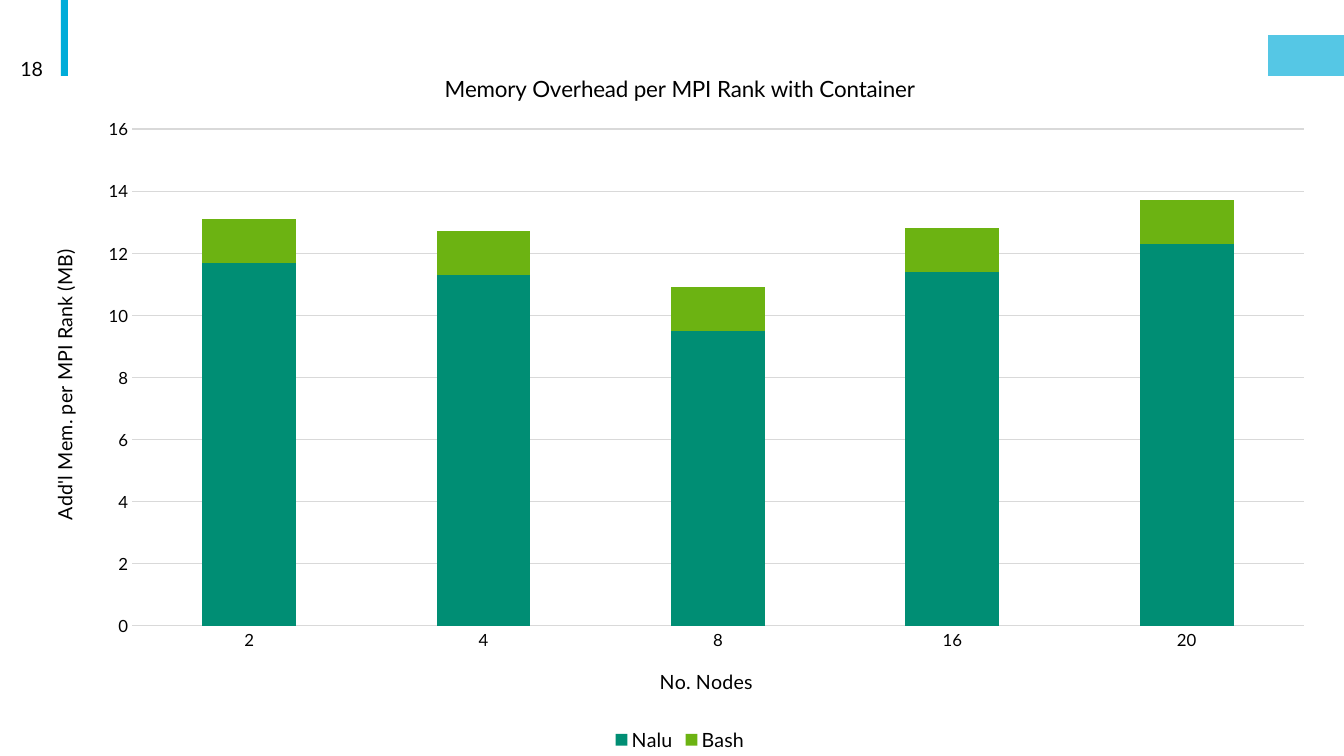
import pptx
import pptx.chart.data
import pptx.dml.color
import pptx.enum.chart
import pptx.enum.shapes
import pptx.enum.text
import pptx.oxml
import pptx.oxml.ns
import pptx.util

# Content
PAGE_NUMBER = "18"
CHART_TITLE = "Memory Overhead per MPI Rank with Container"
NODES_TITLE = "No. Nodes"
MEMORY_TITLE = "Add'l Mem. per MPI Rank (MB)"
NODES = ["2", "4", "8", "16", "20"]
SERIES = [
    ("Nalu", [11.7, 11.3, 9.5, 11.4, 12.3], "teal"),
    ("Bash", [1.4, 1.4, 1.4, 1.4, 1.4], "green"),
]

# Format
FONT = "Lato"
COLORS = {"accent": "00ACD9", "tab": "55C7E5", "text": "000000",
          "grid": "D9D9D9", "teal": "008E74", "green": "6CB312"}

# Places in px: left, top, width, height
SLIDE_SIZE = (1344, 756)
BARS = [((61, 0, 7, 76), "accent"), ((1268, 35, 76, 41), "tab")]
NUMBER_BOX = (7, 49, 46, 40)
CHART_BOX = (30, 49, 1300, 707)
PLOT_BOX = (132, 129, 1172, 497)


def px(length):
    return pptx.util.Emu(round(length * 914400 / 100.8))


def place(box):
    return [px(length) for length in box]


def color(name):
    return pptx.dml.color.RGBColor.from_string(COLORS[name])


def format_font(font, size):
    values = {"name": FONT, "size": pptx.util.Pt(size), "bold": False}
    for name, value in values.items():
        setattr(font, name, value)
    font.color.rgb = color("text")


def format_line(line):
    line.color.rgb = color("grid")
    line.width = pptx.util.Pt(0.75)


def set_title(owner, text, size):
    frame = owner.text_frame
    frame.text = text
    format_font(frame.paragraphs[0].runs[0].font, size)


def fix_plot_area(chart):
    left, top, width, height = CHART_BOX
    shares = {"x": (PLOT_BOX[0] - left) / width, "y": (PLOT_BOX[1] - top) / height,
              "w": PLOT_BOX[2] / width, "h": PLOT_BOX[3] / height}
    parts = '<c:layoutTarget val="inner"/><c:xMode val="edge"/><c:yMode val="edge"/>'
    parts += "".join(f'<c:{key} val="{share:.4f}"/>' for key, share in shares.items())
    namespace = pptx.oxml.ns.nsdecls("c")
    layout = pptx.oxml.parse_xml(
        f"<c:layout {namespace}><c:manualLayout>{parts}</c:manualLayout></c:layout>")
    plot_area = chart.element.find(".//" + pptx.oxml.ns.qn("c:plotArea"))
    for old in plot_area.findall(pptx.oxml.ns.qn("c:layout")):
        plot_area.remove(old)
    plot_area.insert(0, layout)


def add_bars(slide):
    for box, name in BARS:
        bar = slide.shapes.add_shape(pptx.enum.shapes.MSO_SHAPE.RECTANGLE, *place(box))
        bar.shadow.inherit = False
        bar.fill.solid()
        bar.fill.fore_color.rgb = color(name)
        bar.line.fill.background()


def add_page_number(slide):
    frame = slide.shapes.add_textbox(*place(NUMBER_BOX)).text_frame
    frame.word_wrap = True
    frame.vertical_anchor = pptx.enum.text.MSO_ANCHOR.MIDDLE
    paragraph = frame.paragraphs[0]
    paragraph.alignment = pptx.enum.text.PP_ALIGN.RIGHT
    run = paragraph.add_run()
    run.text = PAGE_NUMBER
    format_font(run.font, 14)


def add_memory_chart(slide):
    data = pptx.chart.data.CategoryChartData(number_format="0.0")
    data.categories = NODES
    for name, values, _ in SERIES:
        data.add_series(name, values)
    chart = slide.shapes.add_chart(
        pptx.enum.chart.XL_CHART_TYPE.COLUMN_STACKED, *place(CHART_BOX), data).chart
    format_font(chart.font, 10)
    chart.has_title = True
    set_title(chart.chart_title, CHART_TITLE, 16)
    chart.chart_title.include_in_layout = False

    # Columns
    plot = chart.plots[0]
    plot.gap_width, plot.overlap, plot.vary_by_categories = 150, 100, False
    for series, (_, _, name) in zip(plot.series, SERIES):
        series.format.fill.solid()
        series.format.fill.fore_color.rgb = color(name)

    # Axes
    nodes, memory = chart.category_axis, chart.value_axis
    for axis, title in ((nodes, NODES_TITLE), (memory, MEMORY_TITLE)):
        set_title(axis.axis_title, title, 14)
        axis.major_tick_mark = pptx.enum.chart.XL_TICK_MARK.NONE
        axis.minor_tick_mark = pptx.enum.chart.XL_TICK_MARK.NONE
        format_font(axis.tick_labels.font, 12)
    format_line(nodes.format.line)
    memory.minimum_scale, memory.maximum_scale, memory.major_unit = 0, 16, 2
    memory.tick_labels.number_format = "0"
    memory.tick_labels.number_format_is_linked = False
    memory.format.line.fill.background()
    format_line(memory.major_gridlines.format.line)

    # Legend
    chart.has_legend = True
    chart.legend.position = pptx.enum.chart.XL_LEGEND_POSITION.BOTTOM
    chart.legend.include_in_layout = False
    format_font(chart.legend.font, 14)
    fix_plot_area(chart)


def main():
    presentation = pptx.Presentation()
    presentation.slide_width, presentation.slide_height = place(SLIDE_SIZE)
    slide = presentation.slides.add_slide(presentation.slide_layouts[6])
    add_bars(slide)
    add_page_number(slide)
    add_memory_chart(slide)
    presentation.save("out.pptx")


if __name__ == "__main__":
    main()
